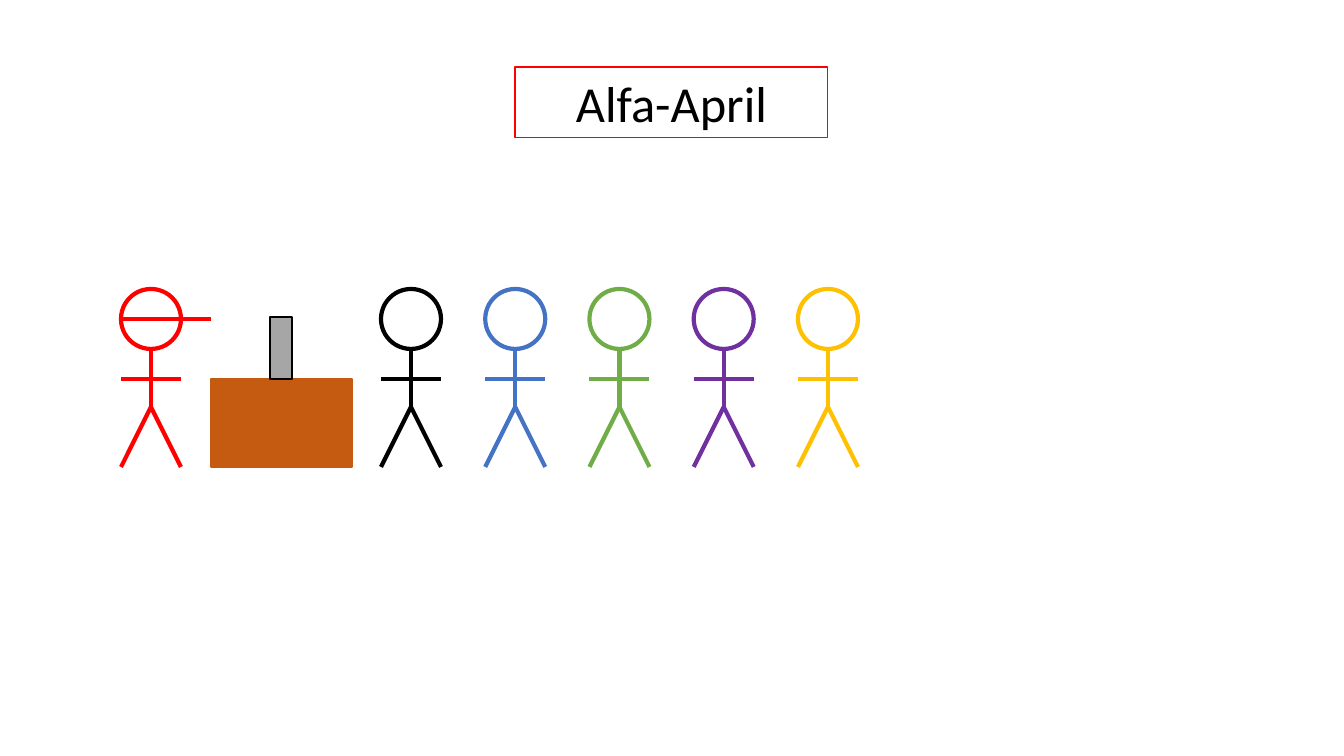
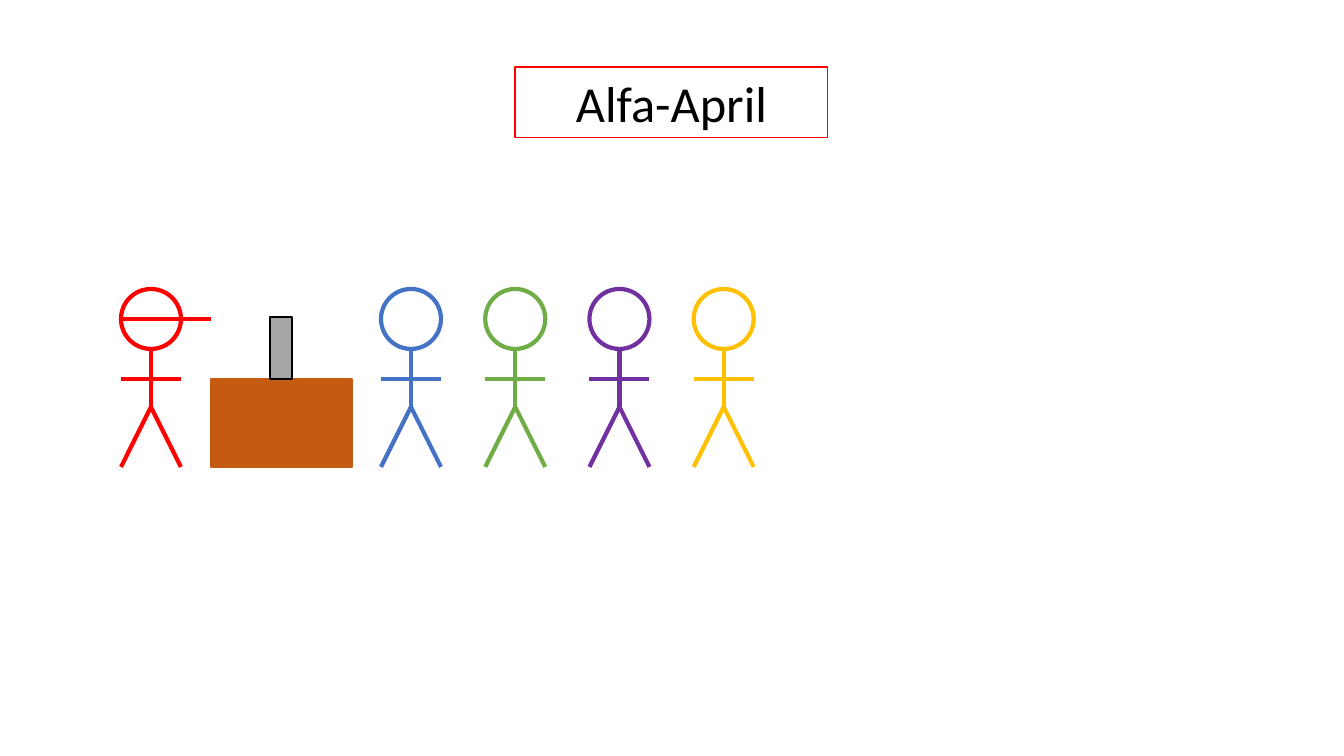
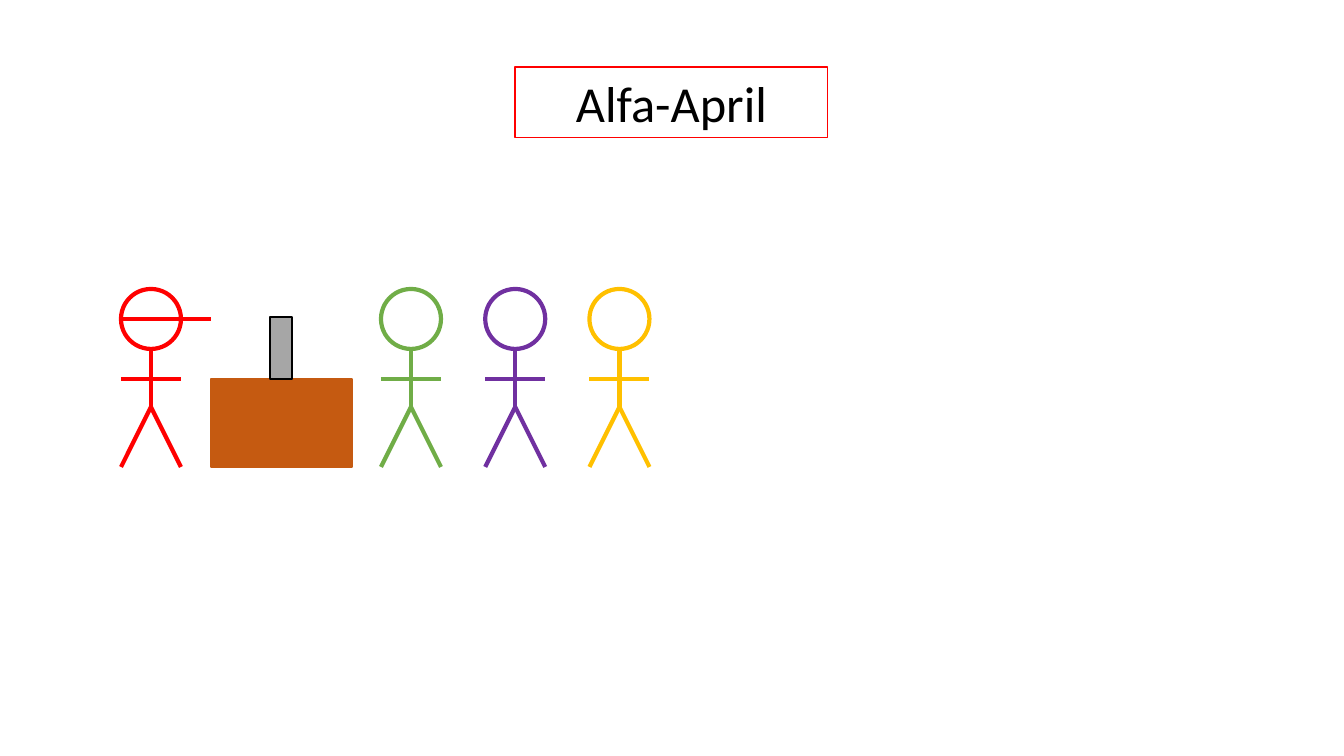
from dataclasses import dataclass

from lxml import etree
from pptx import Presentation
from pptx.dml.color import RGBColor
from pptx.enum.shapes import MSO_CONNECTOR, MSO_SHAPE
from pptx.enum.text import MSO_AUTO_SIZE, PP_ALIGN
from pptx.oxml.ns import qn
from pptx.util import Emu, Pt

OVAL = MSO_SHAPE.OVAL
RECTANGLE = MSO_SHAPE.RECTANGLE
STRAIGHT = MSO_CONNECTOR.STRAIGHT
CENTER = PP_ALIGN.CENTER
GROW = MSO_AUTO_SIZE.SHAPE_TO_FIT_TEXT


@dataclass(frozen=True)
class Theme:
    white: RGBColor = RGBColor.from_string("FFFFFF")
    black: RGBColor = RGBColor.from_string("000000")
    red: RGBColor = RGBColor.from_string("FF0000")
    blue: RGBColor = RGBColor.from_string("4472C4")
    green: RGBColor = RGBColor.from_string("70AD47")
    purple: RGBColor = RGBColor.from_string("7030A0")
    yellow: RGBColor = RGBColor.from_string("FFC000")
    brown: RGBColor = RGBColor.from_string("C55A11")
    gray: RGBColor = RGBColor.from_string("A6A6A6")
    font: str = "Calibri"
    title_size: Pt = Pt(36)
    figure_line: Pt = Pt(3)
    counter_line: Pt = Pt(1)
    title_line: Pt = Pt(0.75)


theme = Theme()
PX = 12192000 / 1344

HEAD_TOP, HEAD_SIZE = 289, 60
NECK, ARMS, HIPS, FEET = 349, 379, 407, 467
CASHIER_LEFT = 121
QUEUE_FIRST, QUEUE_LAST = 381, 798
CAP_Y, CAP_RIGHT = 319, 211


def add_line(shapes, color, *ends):
    line = shapes.add_connector(STRAIGHT, *(Emu(round(end * PX)) for end in ends))
    line.line.color.rgb = color
    line.line.width = theme.figure_line
    etree.SubElement(line.element.spPr, qn("a:effectLst"))


def add_person(slide, left, color):
    person = slide.shapes.add_group_shape().shapes
    head = person.add_shape(
        OVAL, *(Emu(round(n * PX)) for n in (left, HEAD_TOP, HEAD_SIZE, HEAD_SIZE))
    )
    head.shadow.inherit = False
    head.fill.solid()
    head.fill.fore_color.rgb = theme.white
    head.line.color.rgb = color
    head.line.width = theme.figure_line
    middle, right = left + HEAD_SIZE / 2, left + HEAD_SIZE
    add_line(person, color, middle, NECK, middle, HIPS)
    add_line(person, color, middle, HIPS, right, FEET)
    add_line(person, color, middle, HIPS, left, FEET)
    add_line(person, color, left, ARMS, right, ARMS)


presentation = Presentation()
presentation.slide_width = Emu(round(1344 * PX))
presentation.slide_height = Emu(round(756 * PX))
blank = presentation.slide_layouts[6]

customers = [theme.black, theme.blue, theme.green, theme.purple, theme.yellow]
queue_step = (QUEUE_LAST - QUEUE_FIRST) / (len(customers) - 1)
counter_parts = [
    ((211, 379, 141, 88), theme.brown, theme.brown),
    ((270, 317, 22, 62), theme.gray, theme.black),
]

for served in range(3):
    slide = presentation.slides.add_slide(blank)
    add_person(slide, CASHIER_LEFT, theme.red)

    for bounds, fill, outline in counter_parts:
        part = slide.shapes.add_shape(RECTANGLE, *(Emu(round(n * PX)) for n in bounds))
        part.shadow.inherit = False
        part.fill.solid()
        part.fill.fore_color.rgb = fill
        part.line.color.rgb = outline
        part.line.width = theme.counter_line

    add_line(slide.shapes, theme.red, CASHIER_LEFT, CAP_Y, CAP_RIGHT, CAP_Y)

    title = slide.shapes.add_textbox(*(Emu(round(n * PX)) for n in (515, 67, 313, 71)))
    title.line.color.rgb = theme.red
    title.line.width = theme.title_line
    title.text_frame.word_wrap = True
    title.text_frame.auto_size = GROW
    title.text_frame.text = "Alfa-April"
    heading = title.text_frame.paragraphs[0]
    heading.alignment = CENTER
    heading_font = heading.runs[0].font
    heading_font.name = theme.font
    heading_font.size = theme.title_size
    heading_font.color.rgb = theme.black

    for place, color in enumerate(customers[served:]):
        add_person(slide, QUEUE_FIRST + place * queue_step, color)

presentation.save("out.pptx")
